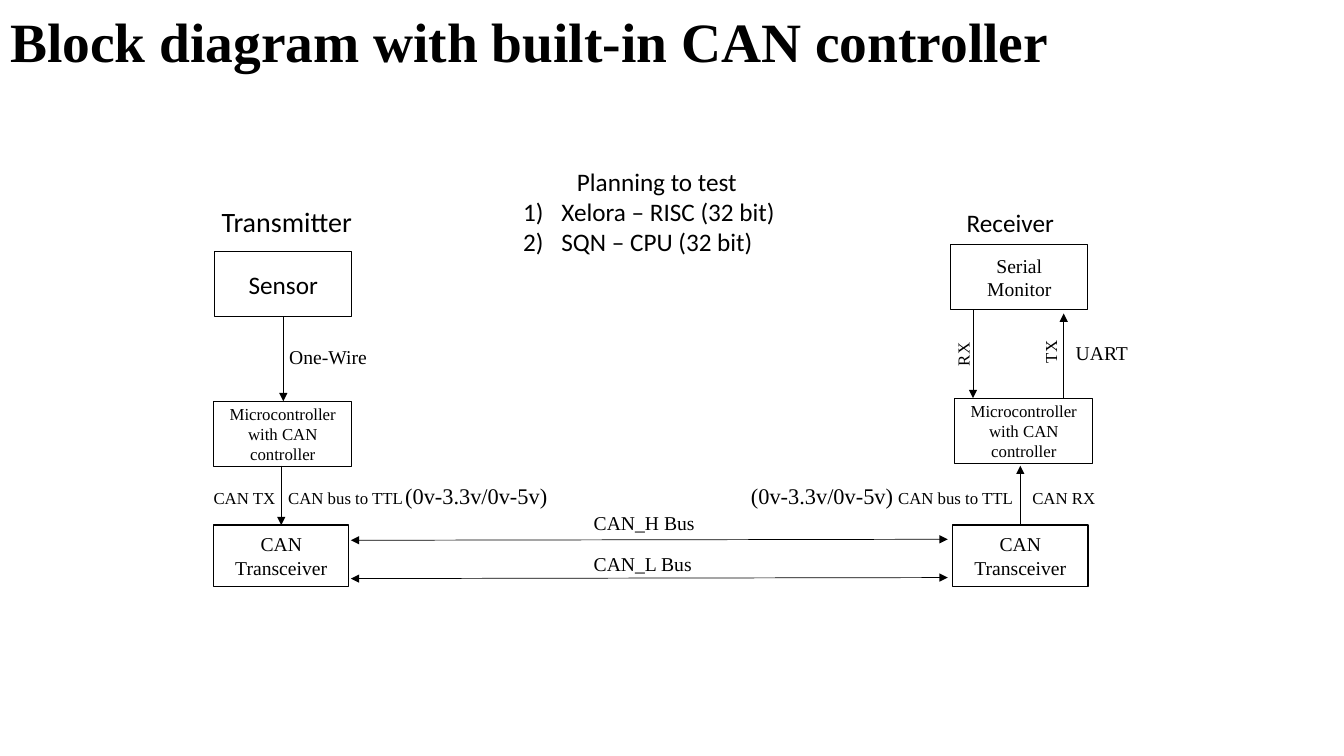
from dataclasses import dataclass

from lxml import etree
from pptx import Presentation
from pptx.dml.color import RGBColor
from pptx.enum.shapes import MSO_CONNECTOR, MSO_SHAPE
from pptx.enum.text import MSO_ANCHOR, PP_ALIGN
from pptx.oxml.ns import qn
from pptx.util import Inches, Pt

LEFT, CENTER = PP_ALIGN.LEFT, PP_ALIGN.CENTER
TOP, MIDDLE = MSO_ANCHOR.TOP, MSO_ANCHOR.MIDDLE
RECT, LINE = MSO_SHAPE.RECTANGLE, MSO_CONNECTOR.STRAIGHT


@dataclass(frozen=True)
class Theme:
    """Colours, fonts, type sizes and line widths."""
    ink: RGBColor = RGBColor(0, 0, 0)
    paper: RGBColor = RGBColor(255, 255, 255)
    serif: str = "Times New Roman"
    sans: str = "Calibri"
    title: float = 39.6
    head: float = 20
    lead: float = 18
    volt: float = 16
    body: float = 14
    small: float = 12
    thin: float = 0.5
    edge: float = 0.75
    bold: float = 1


class Deck:
    """Holds the theme and the current slide."""

    def __init__(self, theme, slide):
        """Keep the theme and slide for later calls."""
        self.theme = theme
        self.slide = slide

    def style(self, para, size, font, align=LEFT):
        """Set the type of one paragraph."""
        para.alignment = align
        para.font.size = Pt(size)
        para.font.name = font
        para.font.color.rgb = self.theme.ink

    def title(self, text, box):
        """Fill and place the title."""
        shape = self.slide.shapes.title
        shape.left, shape.top, shape.width, shape.height = map(Inches, box)
        frame = shape.text_frame
        frame.text = text
        frame.vertical_anchor = MIDDLE
        para = frame.paragraphs[0]
        self.style(para, self.theme.title, self.theme.serif)
        para.font.bold = True
        para.line_spacing = 0.9

    def block(self, text, box, size, font=None, edge=None):
        """Draw a framed block with centred text."""
        shape = self.slide.shapes.add_shape(RECT, *map(Inches, box))
        shape.shadow.inherit = False
        shape.fill.solid()
        shape.fill.fore_color.rgb = self.theme.paper
        shape.line.color.rgb = self.theme.ink
        shape.line.width = Pt(edge or self.theme.edge)
        frame = shape.text_frame
        frame.word_wrap = True
        frame.vertical_anchor = MIDDLE
        frame.margin_left = frame.margin_right = Inches(0.13)
        frame.text = text
        self.style(frame.paragraphs[0], size, font or self.theme.serif, CENTER)

    def label(self, text, box, size, font=None, turn=0):
        """Add a text box and return its frame."""
        shape = self.slide.shapes.add_textbox(*map(Inches, box))
        shape.rotation = turn
        frame = shape.text_frame
        frame.word_wrap = True
        frame.vertical_anchor = TOP
        frame.text = text
        for para in frame.paragraphs:
            self.style(para, size, font or self.theme.serif)
        return frame

    def plan(self, head, items, box):
        """Add a centred heading over a numbered list."""
        text = "\n".join([head, *items])
        frame = self.label(text, box, self.theme.lead, self.theme.sans)
        first, *rest = frame.paragraphs
        first.alignment = CENTER
        for para in rest:
            props = para._p.get_or_add_pPr()
            props.set("marL", str(Inches(0.38)))
            props.set("indent", str(-Inches(0.38)))
            mark = etree.Element(qn("a:buAutoNum"), type="arabicParenR")
            props.insert_element_before(mark, "a:tabLst", "a:defRPr", "a:extLst")

    def arrow(self, start, end, both=False):
        """Draw an arrow, with a head at each end if both is set."""
        line = self.slide.shapes.add_connector(LINE, *map(Inches, start + end))
        line.line.color.rgb = self.theme.ink
        line.line.width = Pt(self.theme.thin)
        pen = line.line._get_or_add_ln()
        for tag in ["a:headEnd", "a:tailEnd"] if both else ["a:tailEnd"]:
            etree.SubElement(pen, qn(tag), type="triangle")
        etree.SubElement(line._element.spPr, qn("a:effectLst"))


def main():
    """Build the slide and save it."""
    show = Presentation()
    show.slide_width, show.slide_height = Inches(13.33), Inches(7.5)
    theme = Theme()
    deck = Deck(theme, show.slides.add_slide(show.slide_layouts[5]))
    deck.title("Block diagram with built-in CAN controller", (0, 0.12, 11.27, 0.65))
    deck.plan("Planning to test", ["Xelora – RISC (32 bit)", "SQN – CPU (32 bit)"],
              (5.09, 1.6, 2.85, 1.01))

    # Blocks of the two nodes
    deck.block("Sensor", (2.13, 2.5, 1.36, 0.64), theme.lead, theme.sans)
    deck.block("Serial Monitor", (9.43, 2.43, 1.36, 0.64), theme.body)
    for left, top in [(2.12, 3.98), (9.47, 3.95)]:
        deck.block("Microcontroller with CAN controller", (left, top, 1.37, 0.65),
                   theme.small)
    for left in [2.12, 9.45]:
        deck.block("CAN Transceiver", (left, 5.21, 1.34, 0.61), theme.body,
                   edge=theme.bold)

    # Links inside each node
    for x, start, end in [(2.81, 3.14, 3.98), (2.79, 4.62, 5.21), (10.12, 5.21, 4.62),
                          (9.65, 3.07, 3.95), (10.55, 3.95, 3.11)]:
        deck.arrow((x, start), (x, end))

    # Bus lines between the nodes
    for name, top, y in [("CAN_H Bus", 5.02, 5.36), ("CAN_L Bus", 5.43, 5.74)]:
        deck.arrow((3.48, y), (9.4, y - 0.01), both=True)
        deck.label(name, (5.79, top, 1.3, 0.34), theme.body)

    # Labels
    deck.label("Transmitter", (2.1, 1.98, 1.6, 0.44), theme.head, theme.sans)
    deck.label("Receiver", (9.49, 2.01, 1.2, 0.4), theme.lead, theme.sans)
    for text, left, top in [("One-Wire", 2.77, 3.37), ("UART", 10.57, 3.33)]:
        deck.label(text, (left, top, 1.12, 0.34), theme.body)
    for text, left, width in [("CAN TX", 2.02, 0.9), ("CAN bus to TTL", 2.76, 1.4),
                              ("CAN bus to TTL", 8.81, 1.4), ("CAN RX", 10.14, 0.9)]:
        deck.label(text, (left, 4.79, width, 0.3), theme.small)
    for left in [3.92, 7.35]:
        deck.label("(0v-3.3v/0v-5v)", (left, 4.73, 1.65, 0.37), theme.volt)
    for text, left, top in [("RX", 9.31, 3.34), ("TX", 10.18, 3.31)]:
        deck.label(text, (left, top, 0.48, 0.3), theme.small, turn=270)

    show.save("out.pptx")


main()
